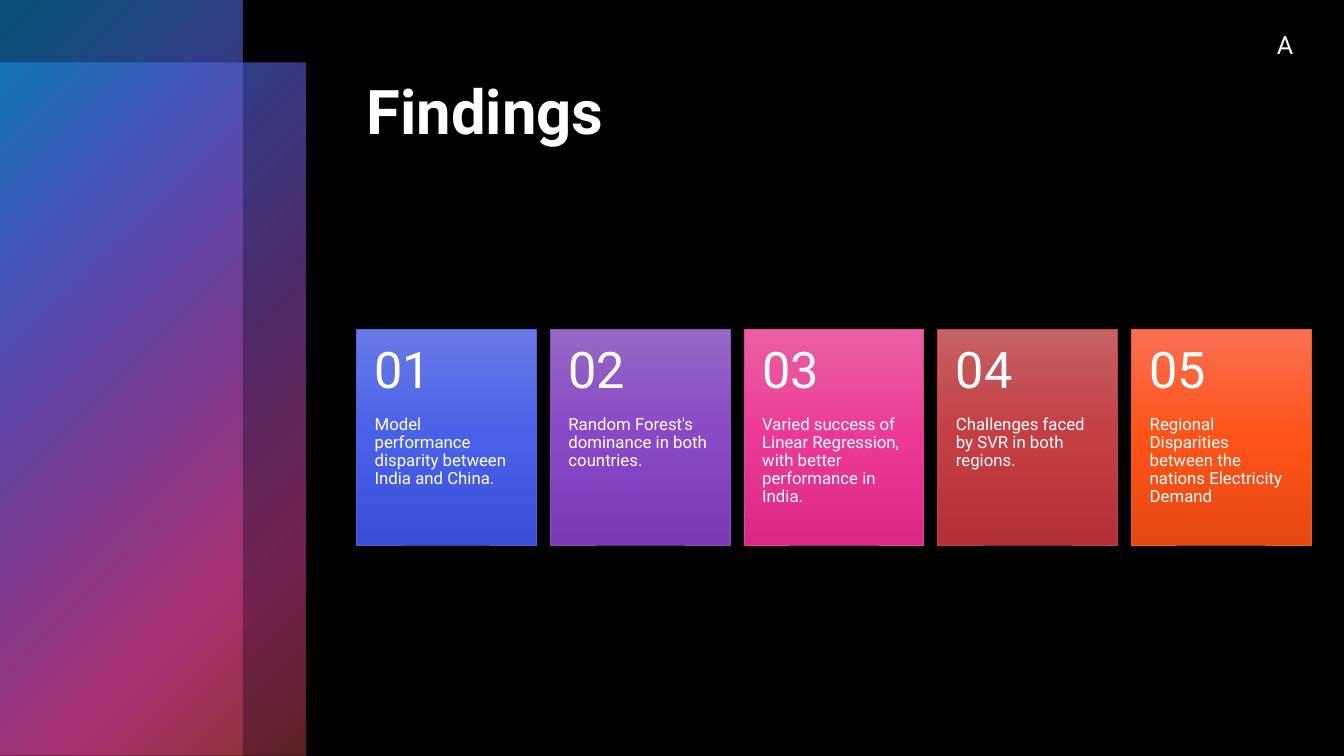
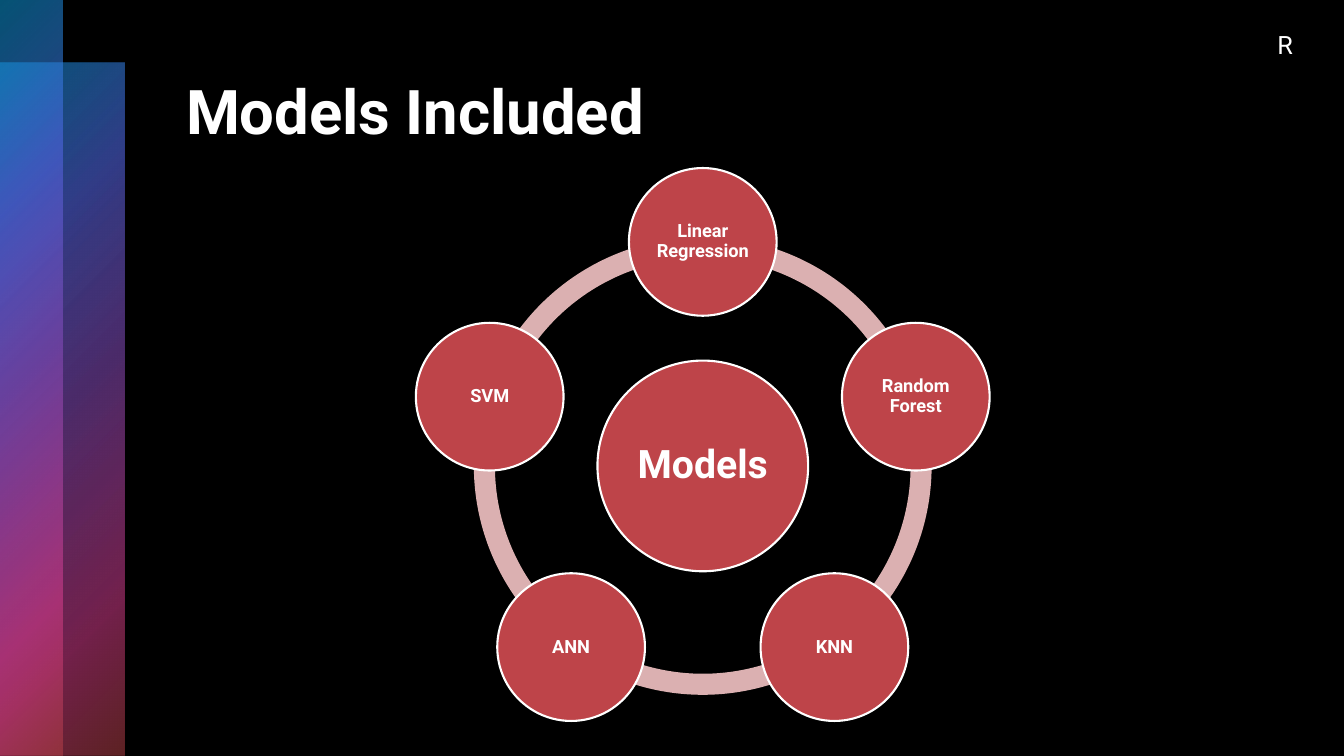
from math import cos, radians, sin

from lxml import etree
from pptx import Presentation
from pptx.dml.color import RGBColor
from pptx.enum.shapes import MSO_SHAPE
from pptx.enum.text import MSO_ANCHOR, PP_ALIGN
from pptx.oxml.ns import qn
from pptx.util import Pt

RECT, OVAL, ARC = MSO_SHAPE.RECTANGLE, MSO_SHAPE.OVAL, MSO_SHAPE.BLOCK_ARC
TOP, MIDDLE = MSO_ANCHOR.TOP, MSO_ANCHOR.MIDDLE
LEFT, CENTER = PP_ALIGN.LEFT, PP_ALIGN.CENTER

BLACK = RGBColor(0x00, 0x00, 0x00)
WHITE = RGBColor(0xFF, 0xFF, 0xFF)
SKY = RGBColor(0x0B, 0xA5, 0xE8)
INDIGO = RGBColor(0x50, 0x66, 0xE1)
PURPLE = RGBColor(0x89, 0x4E, 0xC0)
PINK = RGBColor(0xE5, 0x41, 0x96)
RED = RGBColor(0xBE, 0x44, 0x49)
ORANGE = RGBColor(0xF5, 0x58, 0x22)
ROSE = RGBColor(0xDB, 0xB0, 0xB1)

INDIGO_SHADES = (RGBColor(0x69, 0x7A, 0xE6), RGBColor(0x49, 0x61, 0xE8), RGBColor(0x38, 0x50, 0xD7))
PURPLE_SHADES = (RGBColor(0x96, 0x68, 0xC7), RGBColor(0x89, 0x48, 0xC6), RGBColor(0x7A, 0x3A, 0xB6))
PINK_SHADES = (RGBColor(0xEA, 0x60, 0xA2), RGBColor(0xED, 0x39, 0x96), RGBColor(0xDC, 0x29, 0x86))
RED_SHADES = (RGBColor(0xC6, 0x61, 0x64), RGBColor(0xC4, 0x3E, 0x43), RGBColor(0xB5, 0x30, 0x36))
ORANGE_SHADES = (RGBColor(0xF9, 0x6F, 0x51), RGBColor(0xFF, 0x53, 0x18), RGBColor(0xE5, 0x49, 0x13))

FONT = "Roboto"
WIDTH, HEIGHT = 960, 540
STEP = 44.6

FINDINGS = [
    ("Model performance disparity between India and China.", INDIGO, INDIGO_SHADES),
    ("Random Forest's dominance in both countries.", PURPLE, PURPLE_SHADES),
    ("Varied success of Linear Regression, with better performance in India.", PINK, PINK_SHADES),
    ("Challenges faced by SVR in both regions.", RED, RED_SHADES),
    ("Regional Disparities between the nations Electricity Demand", ORANGE, ORANGE_SHADES),
]
MODELS = ["Linear Regression", "Random Forest", "KNN", "ANN", "SVM"]


class Deck:
    """Holds the presentation style and the slide being built."""

    def __init__(self):
        self.prs = Presentation()
        self.prs.slide_width, self.prs.slide_height = Pt(WIDTH), Pt(HEIGHT)

    def slide(self, title, band_width, initial):
        self.s = self.prs.slides.add_slide(self.prs.slide_layouts[6])
        fill = self.s.background.fill
        fill.solid()
        fill.fore_color.rgb = BLACK
        self.band(STEP, band_width + STEP, 50)
        self.band(0, band_width, 49)
        left = band_width + 2 * STEP - 8
        self.text(title, (left, STEP, 872 - left, 114), 44, bold=True, insets=(7.2, 7.2, 7.2, 3.6))
        self.text(initial, (854, 17.3, 128, 29), 18, align=CENTER, insets=(7.2, 3.6, 7.2, 3.6))

    def shape(self, kind, box, fill=None, line=None, weight=0.5):
        sp = self.s.shapes.add_shape(kind, *map(Pt, box))
        sp.shadow.inherit = False
        if fill is None:
            sp.fill.background()
        else:
            sp.fill.solid()
            sp.fill.fore_color.rgb = fill
        if line is None:
            sp.line.fill.background()
        else:
            sp.line.color.rgb = line
            sp.line.width = Pt(weight)
        return sp

    def gradient(self, sp, stops, angle=None):
        grad = etree.Element(qn("a:gradFill"), rotWithShape="1")
        gs_list = etree.SubElement(grad, qn("a:gsLst"))
        for pos, color, alpha in stops:
            gs = etree.SubElement(gs_list, qn("a:gs"), pos=str(pos * 1000))
            clr = etree.SubElement(gs, qn("a:srgbClr"), val=str(color))
            if alpha < 100:
                etree.SubElement(clr, qn("a:alpha"), val=str(alpha * 1000))
        if angle is None:
            route = etree.SubElement(grad, qn("a:path"), attrib={"path": "circle"})
            etree.SubElement(route, qn("a:fillToRect"), r="100000", b="100000")
        else:
            etree.SubElement(grad, qn("a:lin"), ang=str(angle * 60000), scaled="0")
        sp_pr = sp.element.spPr
        sp_pr.replace(sp_pr.find(qn("a:noFill")), grad)

    def band(self, top, width, middle):
        sp = self.shape(RECT, (0, top, width, HEIGHT - top))
        self.gradient(sp, [(0, SKY, 50), (25, INDIGO, 60), (middle, PURPLE, 55),
                           (81, PINK, 50), (99, RED, 50)])

    def label(self, sp, text, size, bold=False, align=LEFT, anchor=TOP, insets=(0, 0, 0, 0), spacing=1.0):
        tf = sp.text_frame
        sides = dict(zip(("margin_left", "margin_top", "margin_right", "margin_bottom"), map(Pt, insets)))
        for name, value in {"word_wrap": True, "vertical_anchor": anchor, **sides}.items():
            setattr(tf, name, value)
        p = tf.paragraphs[0]
        p.alignment, p.line_spacing = align, spacing
        r = p.add_run()
        r.text = text
        for name, value in {"name": FONT, "size": Pt(size), "bold": bold}.items():
            setattr(r.font, name, value)
        r.font.color.rgb = WHITE

    def text(self, text, box, size, **style):
        self.label(self.s.shapes.add_textbox(*map(Pt, box)), text, size, **style)

    def card(self, left, number, text, color, shades):
        top, width, height, head = 235.3, 128.5, 154, 61.5
        sp = self.shape(RECT, (left, top, width, height), line=color)
        self.gradient(sp, [(50 * i, shade, 100) for i, shade in enumerate(shades)], 90)
        self.text(text, (left, top + head, width, height - head), 12,
                  insets=(13, 0, 13, 26), spacing=0.9)
        self.text(f"{number:02}", (left, top, width, head), 36,
                  anchor=MIDDLE, insets=(13, 13, 13, 13), spacing=0.9)

    def circle(self, x, y, diameter, text, size, inset):
        sp = self.shape(OVAL, (x - diameter / 2, y - diameter / 2, diameter, diameter), RED, WHITE, 1.5)
        self.label(sp, text, size, bold=True, align=CENTER, anchor=MIDDLE,
                   insets=(inset,) * 4, spacing=0.9)

    def wheel(self, x, y, hub, names):
        ring, radius, step = 327, 160, 360 / len(names)
        angles = [270 + step * i for i in range(len(names))]
        for angle in angles:
            sp = self.shape(ARC, (x - ring / 2, y - ring / 2, ring, ring), ROSE)
            for i, value in enumerate((angle % 360 * 0.6, (angle + step) % 360 * 0.6, 0.046)):
                sp.adjustments[i] = value
        self.circle(x, y, 150.5, hub, 28, 2.8)
        for angle, name in zip(angles, names):
            a = radians(angle)
            self.circle(x + radius * cos(a), y + radius * sin(a), 105.5, name, 13, 1.3)


def main():
    deck = Deck()
    deck.slide("Findings", 173.5, "A")
    for i, finding in enumerate(FINDINGS):
        deck.card(254.6 + 138.4 * i, i + 1, *finding)
    deck.slide("Models Included", STEP, "R")
    deck.wheel(502, 332.8, "Models", MODELS)
    deck.prs.save("out.pptx")


if __name__ == "__main__":
    main()
